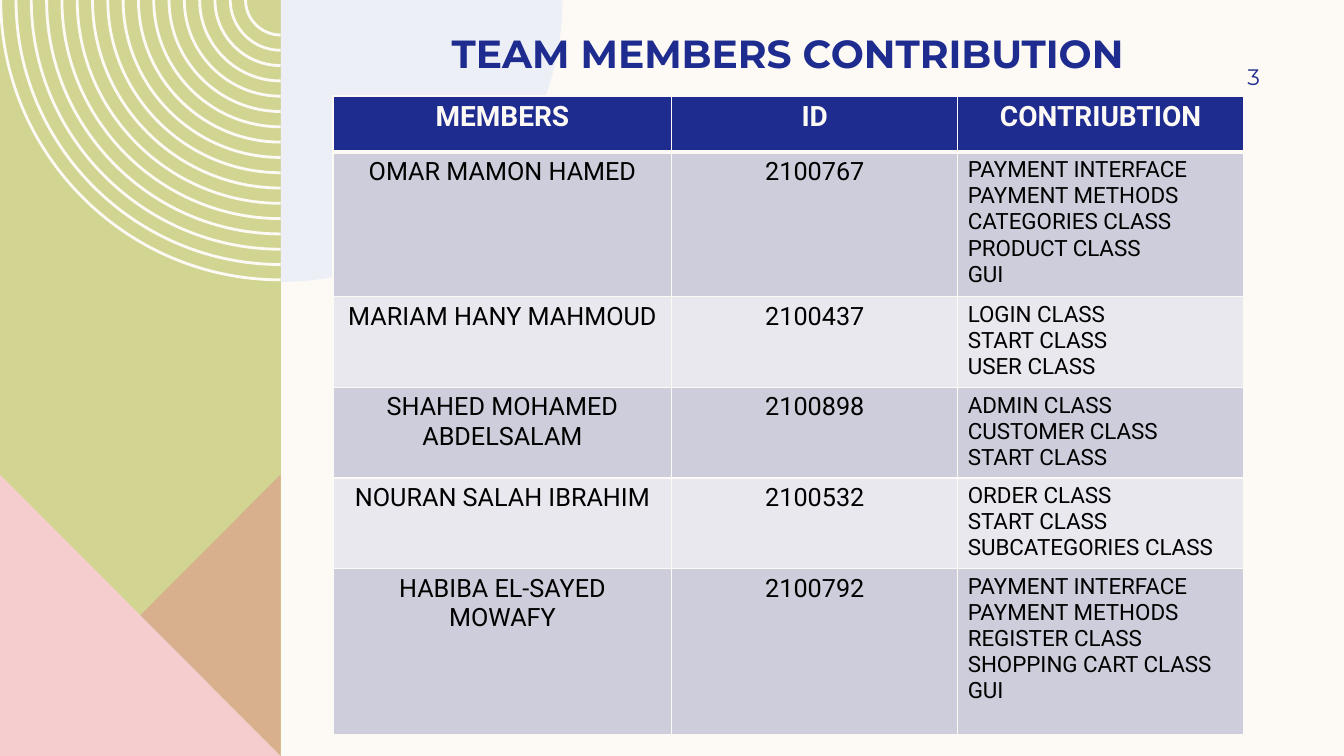
import lxml.etree
import pptx
import pptx.dml.color
import pptx.enum.text
import pptx.oxml
import pptx.oxml.ns
import pptx.util

Pt = pptx.util.Pt
RGBColor = pptx.dml.color.RGBColor
ALIGN = pptx.enum.text.PP_ALIGN
ANCHOR = pptx.enum.text.MSO_ANCHOR
qn = pptx.oxml.ns.qn

TITLE = "TEAM MEMBERS CONTRIBUTION"
PAGE_NUMBER = "3"
HEADERS = ("MEMBERS", "ID", "CONTRIUBTION")
MEMBERS = [
    ("OMAR MAMON HAMED", "2100767",
     ("PAYMENT INTERFACE", "PAYMENT METHODS", "CATEGORIES CLASS", "PRODUCT CLASS", "GUI")),
    ("MARIAM HANY MAHMOUD", "2100437", ("LOGIN CLASS", "START CLASS", "USER CLASS")),
    ("SHAHED MOHAMED ABDELSALAM", "2100898", ("ADMIN CLASS", "CUSTOMER CLASS", "START CLASS")),
    ("NOURAN SALAH IBRAHIM", "2100532", ("ORDER CLASS", "START CLASS", "SUBCATEGORIES CLASS")),
    ("HABIBA EL-SAYED MOWAFY", "2100792",
     ("PAYMENT INTERFACE", "PAYMENT METHODS", "REGISTER CLASS", "SHOPPING CART CLASS", "GUI")),
]

CREAM = RGBColor(0xFD, 0xFA, 0xF6)
NAVY = RGBColor(0x1F, 0x2C, 0x8F)
BLACK = RGBColor(0, 0, 0)
GREEN = RGBColor(0xD2, 0xD5, 0x92)
ROSE = RGBColor(0xDE, 0x8C, 0x8C)
PINK = RGBColor(0xF5, 0xCD, 0xCE)
PALE_BLUE = RGBColor(0xDD, 0xE7, 0xF6)
BANDS = (RGBColor(0xCD, 0xCD, 0xDB), RGBColor(0xE8, 0xE8, 0xEE))

WIDTH, HEIGHT = 960, 540
PANEL = 200.4
TRIANGLE_TOP = 339
CIRCLE_RADIUS = 201.4
CURVE_RATIO = 0.55
RING_COUNT, RING_RADIUS, RING_STEP, RING_THICKNESS = 17, 26, 10.93, 2
TABLE_LEFT, TABLE_TOP = 237.9, 68.5
COLUMN_WIDTHS = (242, 204.2, 204.2)
ROW_HEIGHTS = (40.2, 100.2, 62.9, 62.9, 62.9, 118.6)


def quarter_curve(radius, direction):
    reach = direction * radius
    return [(PANEL + reach, 0), (PANEL + reach, radius * CURVE_RATIO),
            (PANEL + reach * CURVE_RATIO, radius), (PANEL, radius)]


def polygon(*points):
    return [[point] for point in points]


def ring(radius):
    outer = quarter_curve(radius, -1)
    inner = quarter_curve(radius - RING_THICKNESS, -1)
    return [outer[:1], inner[:1], inner[1:], outer[3:], outer[2::-1]]


def add_outline(slide, contours, color, opacity=100):
    builder = None
    for contour in contours:
        points = [(Pt(x), Pt(y)) for step in contour for x, y in step]
        if builder is None:
            builder = slide.shapes.build_freeform(*points[0], scale=1.0)
        else:
            builder.move_to(*points[0])
        builder.add_line_segments(points[1:], close=True)
    shape = builder.convert_to_shape()
    segments = iter(list(shape._element.iter(qn("a:lnTo"))))
    for contour in contours:
        for step in contour[1:]:
            first, *others = [next(segments) for point in step]
            if others:
                curve = lxml.etree.Element(qn("a:cubicBezTo"))
                first.addprevious(curve)
                for segment in (first, *others):
                    curve.append(segment[0])
                    segment.getparent().remove(segment)
    shape.shadow.inherit = False
    shape.line.fill.background()
    shape.fill.solid()
    shape.fill.fore_color.rgb = color
    if opacity < 100:
        fill_color = shape._element.spPr.find(qn("a:solidFill"))[0]
        lxml.etree.SubElement(fill_color, qn("a:alpha"), val=str(opacity * 1000))


def write(frame, lines, size, color, alignment, font="Roboto", bold=False):
    frame.text = "\n".join(lines)
    for paragraph in frame.paragraphs:
        paragraph.alignment = alignment
        paragraph.font.name = font
        paragraph.font.size = Pt(size)
        paragraph.font.bold = bold
        paragraph.font.color.rgb = color


def add_label(slide, box, margins, anchor, text, size, alignment, bold=False):
    frame = slide.shapes.add_textbox(*map(Pt, box)).text_frame
    frame.word_wrap = True
    frame.vertical_anchor = anchor
    frame.margin_left, frame.margin_top, frame.margin_right, frame.margin_bottom = map(Pt, margins)
    write(frame, [text], size, NAVY, alignment, "Montserrat", bold)


def style_cell(cell, fill, bottom, top):
    properties = cell._tc.get_or_add_tcPr()
    for side, width in (("L", 1), ("R", 1), ("T", top), ("B", bottom)):
        properties.append(pptx.oxml.parse_xml(
            f'<a:ln{side} {pptx.oxml.ns.nsdecls("a")} w="{int(Pt(width))}">'
            f'<a:solidFill><a:srgbClr val="{CREAM}"/></a:solidFill></a:ln{side}>'))
    cell.fill.solid()
    cell.fill.fore_color.rgb = fill


def add_members_table(slide):
    table = slide.shapes.add_table(
        len(ROW_HEIGHTS), len(COLUMN_WIDTHS), Pt(TABLE_LEFT), Pt(TABLE_TOP),
        Pt(sum(COLUMN_WIDTHS)), Pt(sum(ROW_HEIGHTS))).table
    for column, width in zip(table.columns, COLUMN_WIDTHS):
        column.width = Pt(width)
    for row, height in zip(table.rows, ROW_HEIGHTS):
        row.height = Pt(height)
    for index, header in enumerate(HEADERS):
        cell = table.cell(0, index)
        style_cell(cell, NAVY, bottom=3, top=1)
        write(cell.text_frame, [header], 20, CREAM, ALIGN.CENTER, bold=True)
    for row, (name, number, tasks) in enumerate(MEMBERS, 1):
        for index, lines in enumerate(([name], [number], tasks)):
            cell = table.cell(row, index)
            style_cell(cell, BANDS[(row - 1) % 2], bottom=1, top=3 if row == 1 else 1)
            size, alignment = (16, ALIGN.LEFT) if index == 2 else (18, ALIGN.CENTER)
            write(cell.text_frame, lines, size, BLACK, alignment)


def main():
    presentation = pptx.Presentation()
    presentation.slide_width, presentation.slide_height = Pt(WIDTH), Pt(HEIGHT)
    slide = presentation.slides.add_slide(presentation.slide_layouts[6])
    slide.background.fill.solid()
    slide.background.fill.fore_color.rgb = CREAM

    panel = polygon((0, 0), (PANEL, 0), (PANEL, HEIGHT), (0, HEIGHT))
    rings = [ring(RING_RADIUS + RING_STEP * index) for index in range(RING_COUNT)]
    right_triangle = polygon((PANEL, TRIANGLE_TOP), (PANEL, HEIGHT), (0, HEIGHT))
    left_triangle = polygon((0, TRIANGLE_TOP), (PANEL, HEIGHT), (0, HEIGHT))
    circle_edge = quarter_curve(CIRCLE_RADIUS, 1)
    add_outline(slide, [panel], GREEN)
    add_outline(slide, rings, CREAM)
    add_outline(slide, [right_triangle], ROSE, 50)
    add_outline(slide, [left_triangle], PINK)
    add_outline(slide, [[[(PANEL, 0)], circle_edge[:1], circle_edge[1:]]], PALE_BLUE, 50)

    add_label(slide, (249, -23.8, 627, 78.5), (7.2, 0, 7.2, 0), ANCHOR.BOTTOM,
              TITLE, 28, ALIGN.CENTER, bold=True)
    add_label(slide, (815.8, 36, 84.2, 37.4), (7.2, 3.6, 0, 3.6), ANCHOR.MIDDLE,
              PAGE_NUMBER, 16, ALIGN.RIGHT)
    add_members_table(slide)
    presentation.save("out.pptx")


if __name__ == "__main__":
    main()
